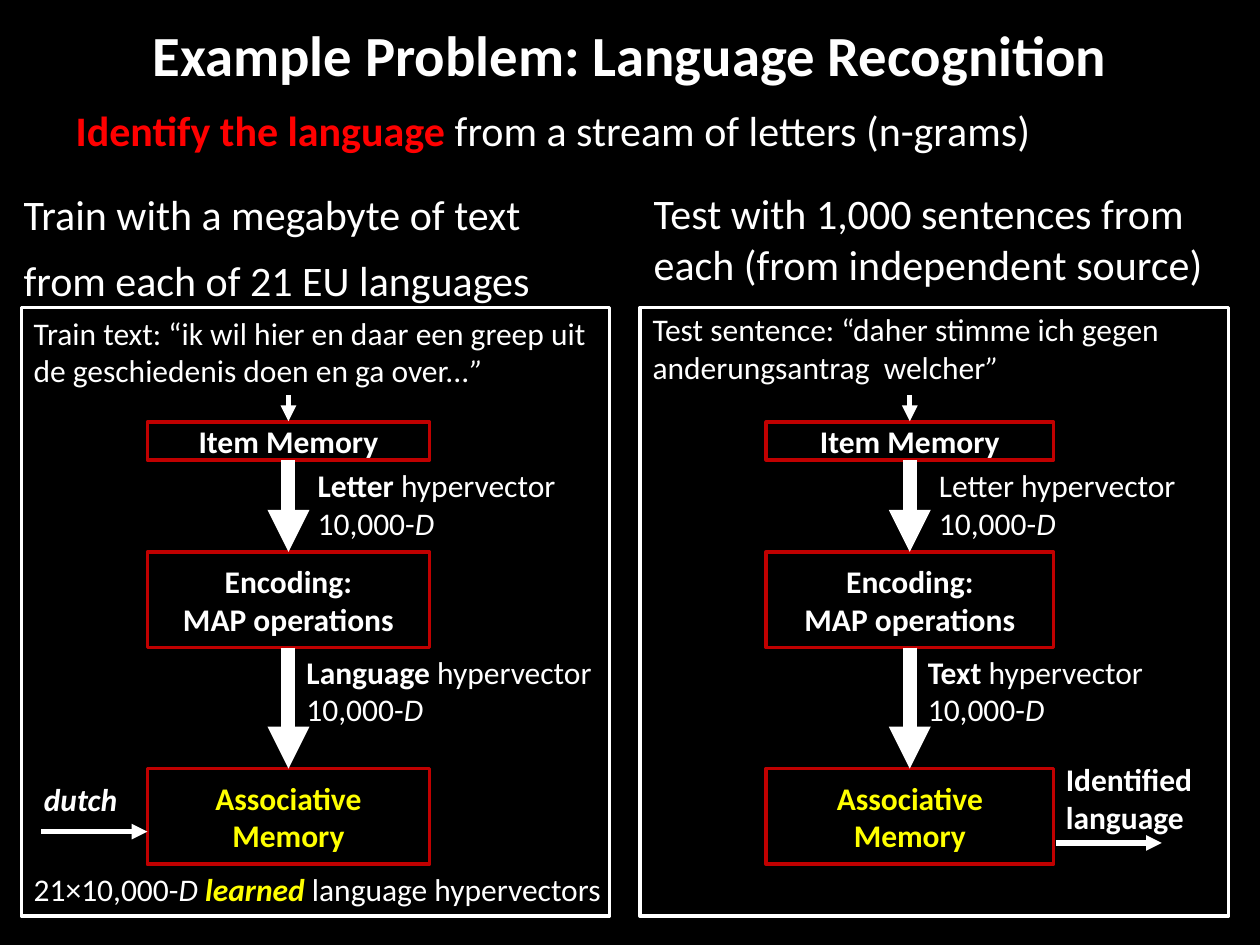
import pptx
import pptx.dml.color
import pptx.enum.shapes
import pptx.enum.text
import pptx.oxml
import pptx.oxml.ns
import pptx.util
from lxml import etree

Pt = pptx.util.Pt
RGBColor = pptx.dml.color.RGBColor
ALIGN = pptx.enum.text.PP_ALIGN
ANCHOR = pptx.enum.text.MSO_ANCHOR

BLACK = RGBColor(0x00, 0x00, 0x00)
WHITE = RGBColor(0xFF, 0xFF, 0xFF)
RED = RGBColor(0xFF, 0x00, 0x00)
DARK_RED = RGBColor(0xC0, 0x00, 0x00)
YELLOW = RGBColor(0xFF, 0xFF, 0x00)
FONT = "Calibri"

PANEL_TOP, PANEL_WIDTH, PANEL_HEIGHT = 175.7, 336.2, 347.8
BOX_LEFT = 72
STAGE_HEIGHT = 54.7
DIMENSION = [("10,000-", ""), ("D", "i")]


def write(frame, paragraphs, size=18, color=WHITE, align=ALIGN.LEFT, spacing=None):
    """Fill a frame; each paragraph lists runs of (text, "b"/"i" flags, optional colour)."""
    frame.word_wrap = True
    for index, runs in enumerate(paragraphs):
        paragraph = frame.paragraphs[0] if index == 0 else frame.add_paragraph()
        paragraph.alignment = align
        paragraph.space_before = Pt(0)
        if spacing:
            paragraph.line_spacing = spacing
        paragraph.font.name = FONT
        paragraph.font.size = Pt(size)
        paragraph.font.color.rgb = color
        for text, flags, *run_color in runs:
            run = paragraph.add_run()
            run.text = text
            run.font.bold = "b" in flags
            run.font.italic = "i" in flags
            if run_color:
                run.font.color.rgb = run_color[0]


def add_text(slide, left, top, width, height, paragraphs, **style):
    box = slide.shapes.add_textbox(Pt(left), Pt(top), Pt(width), Pt(height))
    write(box.text_frame, paragraphs, **style)


def add_box(slide, left, top, width, height, line_color, paragraphs=(), color=WHITE):
    box = slide.shapes.add_shape(pptx.enum.shapes.MSO_SHAPE.RECTANGLE,
                                 Pt(left), Pt(top), Pt(width), Pt(height))
    box.shadow.inherit = False
    box.fill.background()
    box.line.color.rgb = line_color
    box.line.width = Pt(2)
    box.text_frame.vertical_anchor = ANCHOR.MIDDLE
    write(box.text_frame, paragraphs, color=color, align=ALIGN.CENTER)


def add_arrow(slide, start_x, start_y, end_x, end_y, weight=3):
    arrow = slide.shapes.add_connector(pptx.enum.shapes.MSO_CONNECTOR.STRAIGHT,
                                       Pt(start_x), Pt(start_y), Pt(end_x), Pt(end_y))
    arrow.line.color.rgb = WHITE
    arrow.line.width = Pt(weight)
    qn = pptx.oxml.ns.qn
    etree.SubElement(arrow.line._get_or_add_ln(), qn("a:tailEnd"), type="triangle")
    etree.SubElement(arrow._element.spPr, qn("a:effectLst"))


def place(placeholder, left, top, width, height):
    placeholder.left, placeholder.top = Pt(left), Pt(top)
    placeholder.width, placeholder.height = Pt(width), Pt(height)
    placeholder.text_frame.auto_size = pptx.enum.text.MSO_AUTO_SIZE.NONE


def add_heading(slide, left, width):
    title = slide.shapes.title
    place(title, left, 5.8, width, 50.4)
    title.text_frame.vertical_anchor = ANCHOR.MIDDLE
    write(title.text_frame, [[("Example Problem: Language Recognition", "b")]],
          size=32.4, align=ALIGN.CENTER)

    body = slide.placeholders[1]
    place(body, left, 50.4, width, 42.5)
    properties = body.text_frame.paragraphs[0]._p.get_or_add_pPr()
    properties.set("marL", "0")
    properties.set("indent", "0")
    etree.SubElement(properties, pptx.oxml.ns.qn("a:buNone"))
    write(body.text_frame, [[("Identify the language ", "b", RED),
                             ("from a stream of letters (n-grams)", "")]],
          size=24, spacing=1.2)


def add_pipeline(slide, left, top, box_width, letter_runs, vector_name):
    """Draw the framed chain from item memory to associative memory."""
    add_box(slide, left, top, PANEL_WIDTH, PANEL_HEIGHT, WHITE)
    box_left = left + BOX_LEFT
    center = box_left + box_width / 2
    stages = [
        (65.5, 21.6, [[("Item Memory", "b")]], WHITE),
        (139.7, STAGE_HEIGHT, [[("Encoding:", "b")], [("MAP operations", "b")]], WHITE),
        (263.5, STAGE_HEIGHT, [[("Associative Memory", "b")]], YELLOW),
    ]
    for offset, height, paragraphs, color in stages:
        add_box(slide, box_left, top + offset, box_width, height, DARK_RED, paragraphs, color)
    for upper, lower in zip(stages, stages[1:]):
        add_arrow(slide, center, top + upper[0] + upper[1], center, top + lower[0], weight=8)
    add_arrow(slide, center, top + 50, center, top + 65)

    vector_runs = [(vector_name, "b"), (" hypervector", "")]
    add_text(slide, center + 9.6, top + 87.1, 158, 51, [letter_runs, DIMENSION])
    add_text(slide, center + 3.2, top + 193.7, 182, 51, [vector_runs, DIMENSION])


def add_training_panel(slide, left, top):
    add_text(slide, left - 5.8, top - 80, 341.3, 82.8,
             [[("Train with a megabyte of text from each of 21 EU languages", "")]],
             size=24, spacing=1.3)
    add_pipeline(slide, left, top, 161.3,
                 [("Letter", "b"), (" hypervector", "")], "Language")
    add_text(slide, left, top, 330, 51,
             [[("Train text: “ik wil hier en daar een greep uit "
                "de geschiedenis doen en ga over...", ""), ("”", "i")]])
    add_text(slide, left + 5.8, top + 266.4, 72, 28.8, [[("dutch", "bi")]])
    add_arrow(slide, left + 11.5, top + 299.5, left + BOX_LEFT, top + 299.5)
    add_text(slide, left, top + 318.2, 342, 28.8,
             [[("21×10,000-", ""), ("D ", "i"), ("learned", "bi", YELLOW),
               (" language hypervectors", "")]])


def add_test_panel(slide, left, top):
    box_width = 164.2
    box_right = left + BOX_LEFT + box_width
    add_text(slide, left + 0.7, top - 72, 335.5, 65.5,
             [[("Test with 1,000 sentences from each (from independent source)", "")]],
             size=24)
    add_pipeline(slide, left, top, box_width, [("Letter hypervector", "")], "Text")
    add_text(slide, left, top - 2.2, 330, 51,
             [[("Test sentence: “daher stimme ich gegen "
                "anderungsantrag  welcher", ""), ("”", "i")]])
    add_text(slide, box_right, top + 254.9, 93.6, 51, [[("Identified language", "b")]])
    add_arrow(slide, box_right + 1.4, top + 306, box_right + 61.9, top + 306)


def main():
    presentation = pptx.Presentation()
    presentation.slide_width, presentation.slide_height = Pt(720), Pt(540)
    slide = presentation.slides.add_slide(presentation.slide_layouts[1])
    slide.background.fill.solid()
    slide.background.fill.fore_color.rgb = BLACK
    add_heading(slide, 36, 648)
    add_training_panel(slide, 12.2, PANEL_TOP)
    add_test_panel(slide, 365.8, PANEL_TOP)
    presentation.save("out.pptx")


if __name__ == "__main__":
    main()
